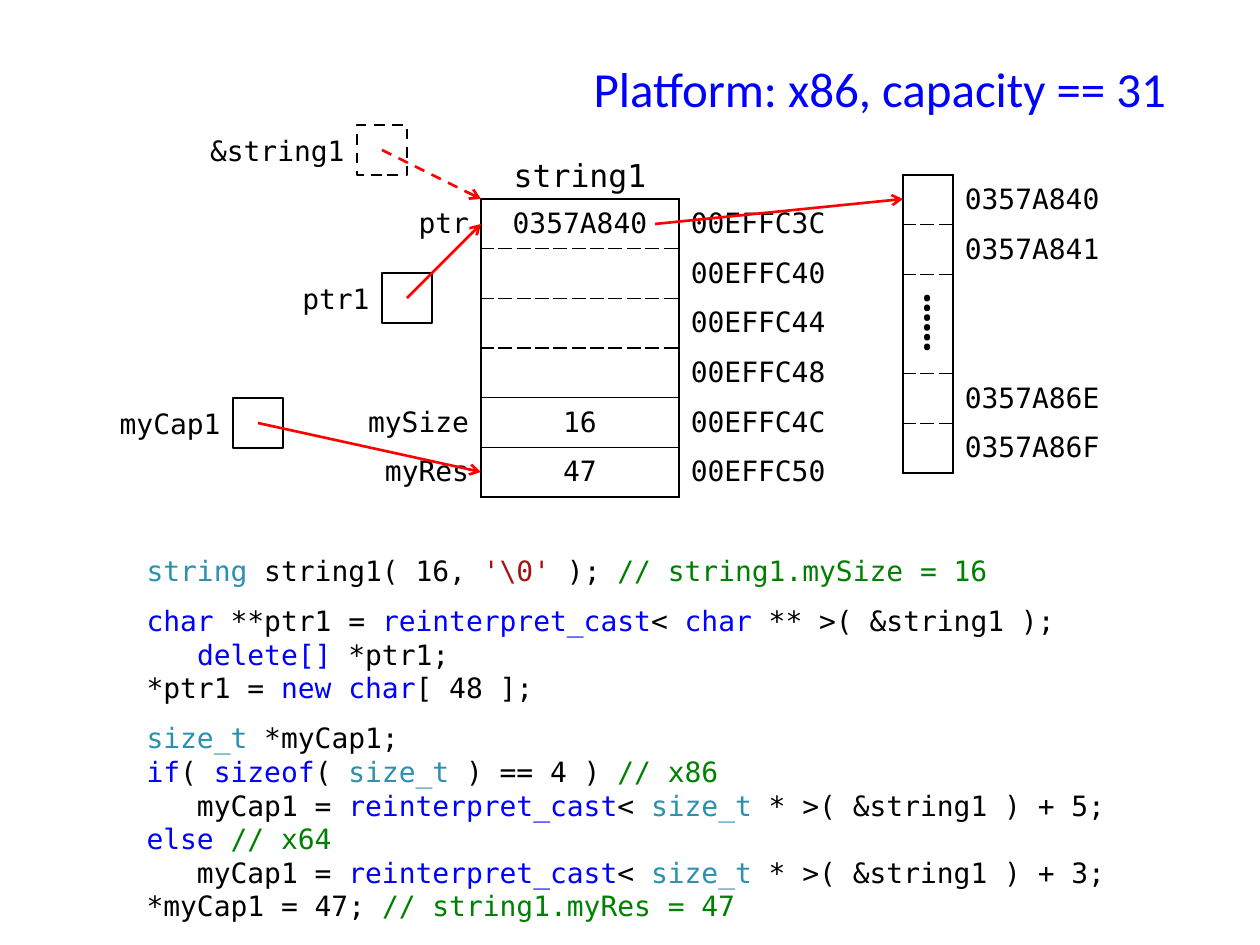
import pptx
import pptx.util
import pptx.dml.color
import pptx.enum.dml
import pptx.enum.shapes
import pptx.enum.text
import pptx.oxml.ns
from lxml import etree

RGB = pptx.dml.color.RGBColor
BLACK = RGB(0, 0, 0)
RED = RGB(255, 0, 0)
BLUE = RGB(0, 0, 255)
GREEN = RGB(0, 128, 0)
TEAL = RGB(0x2B, 0x91, 0xAF)
BRICK = RGB(0xA3, 0x15, 0x15)
MONO = "DejaVu Sans Mono"
DASH = pptx.enum.dml.MSO_LINE.DASH
ALIGN = pptx.enum.text.PP_ALIGN
MID = pptx.enum.text.MSO_ANCHOR.MIDDLE
TOP = pptx.enum.text.MSO_ANCHOR.TOP
NOFIT = pptx.enum.text.MSO_AUTO_SIZE.NONE
PLAIN = "{2D5ABB26-0587-4C30-8999-92F81FD0307C}"
SIDE = 50
HUES = {"string": TEAL, "size_t": TEAL, "'\\0'": BRICK}
HUES.update(dict.fromkeys(
    ["char", "reinterpret_cast", "delete[]", "new", "if", "sizeof", "else"], BLUE))
CODE = [
    ["string| string1( 16, |'\\0'| ); |// string1.mySize = 16"],
    ["char| **ptr1 = |reinterpret_cast|< |char| ** >( &string1 );",
     "   |delete[]| *ptr1;",
     "*ptr1 = |new| |char|[ 48 ];"],
    ["size_t| *myCap1;",
     "if|( |sizeof|( |size_t| ) == 4 ) |// x86",
     "   myCap1 = |reinterpret_cast|< |size_t| * >( &string1 ) + 5;",
     "else| |// x64",
     "   myCap1 = |reinterpret_cast|< |size_t| * >( &string1 ) + 3;",
     "*myCap1 = 47; |// string1.myRes = 47"],
]


def px(n):
    return pptx.util.Emu(n * 914400 // 126)


def put(obj, vals):
    for name, val in vals.items():
        setattr(obj, name, val)


def sub(node, tag, **vals):
    return etree.SubElement(node, pptx.oxml.ns.qn(tag), vals)


def place(shape, x, y, w, h):
    put(shape, {"left": px(x), "top": px(y), "width": px(w), "height": px(h)})


def write(para, text, size=16, face=MONO, hue=BLACK):
    run = para.add_run()
    run.text = text
    put(run.font, {"size": pptx.util.Pt(size), "name": face})
    run.font.color.rgb = hue


def title(slide, text):
    shape = slide.shapes.title
    place(shape, 581, 26, 620, 123)
    put(shape.text_frame, {"vertical_anchor": MID, "auto_size": NOFIT, "word_wrap": True})
    para = shape.text_frame.paragraphs[0]
    para.alignment = ALIGN.LEFT
    write(para, text, 28, "Calibri", BLUE)


def code(slide):
    shape = slide.placeholders[1]
    place(shape, 134, 547, 993, 348)
    frame = shape.text_frame
    put(frame, {"vertical_anchor": TOP, "auto_size": NOFIT, "word_wrap": True})
    rows = [(line, i == 0) for part in CODE for i, line in enumerate(part)]
    for i, (line, first) in enumerate(rows):
        para = frame.add_paragraph() if i else frame.paragraphs[0]
        prop = para._p.get_or_add_pPr()
        put_in = {"marL": "0", "indent": "0"}
        for name, val in put_in.items():
            prop.set(name, val)
        sub(prop, "a:buNone")
        gap = 9.5 if first and i else 0
        put(para, {"space_before": pptx.util.Pt(gap), "line_spacing": 1.0})
        for piece in line.split("|"):
            rest = GREEN if piece.startswith("//") else BLACK
            write(para, piece, hue=HUES.get(piece, rest))


def label(slide, x, y, w, text, size=16, align=ALIGN.RIGHT):
    shape = slide.shapes.add_textbox(px(x), px(y), px(w), px(SIDE))
    put(shape.text_frame, {"word_wrap": True, "vertical_anchor": MID})
    para = shape.text_frame.paragraphs[0]
    para.alignment = align
    write(para, text, size)


def arrow(slide, x, y, tox, toy, dash=None):
    line = slide.shapes.add_connector(
        pptx.enum.shapes.MSO_CONNECTOR.STRAIGHT, px(x), px(y), px(tox), px(toy))
    line.line.color.rgb = RED
    put(line.line, {"width": pptx.util.Pt(1.5), "dash_style": dash})
    sub(line.line._get_or_add_ln(), "a:tailEnd", type="arrow")
    sub(line._element.spPr, "a:effectLst")


def pointer(slide, x, y, text, wide, toy, dash=None):
    label(slide, x - wide, y, wide, text)
    box = slide.shapes.add_shape(
        pptx.enum.shapes.MSO_SHAPE.RECTANGLE, px(x), px(y), px(SIDE), px(SIDE))
    box.shadow.inherit = False
    box.fill.background()
    box.line.color.rgb = BLACK
    put(box.line, {"width": pptx.util.Pt(1.5), "dash_style": dash})
    arrow(slide, x + SIDE // 2, y + SIDE // 2, 481, toy, dash)


def edge(cell, side, width=1.5, dash="solid"):
    line = sub(cell._tc.get_or_add_tcPr(), "a:ln" + side, w=str(int(width * 12700)))
    sub(sub(line, "a:solidFill"), "a:srgbClr", val=str(BLACK))
    sub(line, "a:prstDash", val=dash)


def grid(slide, x, y, cols, rows, box, rules):
    shape = slide.shapes.add_table(
        len(rows), len(cols), px(x), px(y), px(sum(cols)), px(298))
    table = shape.table
    put(table, {"first_row": False, "horz_banding": False})
    table._tbl.tblPr.find(pptx.oxml.ns.qn("a:tableStyleId")).text = PLAIN
    for col, wide in zip(table.columns, cols):
        col.width = px(wide)
    for r, texts in enumerate(rows):
        table.rows[r].height = px(298) // len(rows)
        for c, text in enumerate(texts):
            cell = table.cell(r, c)
            if c >= box:
                edge(cell, "L")
            if c <= box:
                edge(cell, "R")
            if c == box:
                edge(cell, "T", *rules[r])
                edge(cell, "B", *rules[r + 1])
            cell.fill.background()
            put(cell, {"margin_top": 0, "margin_bottom": 0, "vertical_anchor": MID,
                       "margin_left": px(10 if c == box else 12),
                       "margin_right": px(12 if c < box else 10)})
            para = cell.text_frame.paragraphs[0]
            para.alignment = [ALIGN.RIGHT, ALIGN.CENTER, ALIGN.LEFT][(c > box) - (c < box) + 1]
            if text:
                write(para, text)
    return table


def main():
    deck = pptx.Presentation()
    put(deck, {"slide_width": px(1260), "slide_height": px(945)})
    slide = deck.slides.add_slide(deck.slide_layouts[1])
    code(slide)
    title(slide, "Platform: x86, capacity == 31")

    thick, thin, dots = (1.5,), (1,), (1, "sysDash")
    names = ["ptr", "", "", "", "mySize", "myRes"]
    vals = ["0357A840", "", "", "", "16", "47"]
    spots = [f"00EFFC{n:X}" for n in range(0x3C, 0x54, 4)]
    grid(slide, 307, 199, [174, 198, 174], list(zip(names, vals, spots)), 1,
         [thick, dots, dots, dots, thin, thin, thick])
    label(slide, 481, 150, 198, "string1", 18, ALIGN.CENTER)

    heap = ["0357A840", "0357A841", "", "", "0357A86E", "0357A86F"]
    table = grid(slide, 903, 175, [50, 174], [("", spot) for spot in heap], 0,
                 [thick, dots, dots, dots, dots, dots, thick])
    cell = table.cell(2, 0)
    cell.merge(table.cell(3, 0))
    put(cell, {"margin_left": 0, "margin_right": 0})
    write(cell.text_frame.paragraphs[0], "⸽", 28, "Times New Roman")
    arrow(slide, 655, 224, 903, 199)

    pointer(slide, 357, 125, "&string1", 174, 199, DASH)
    pointer(slide, 382, 273, "ptr1", 99, 224)
    pointer(slide, 233, 398, "myCap1", 149, 472)
    deck.save("out.pptx")


if __name__ == "__main__":
    main()
